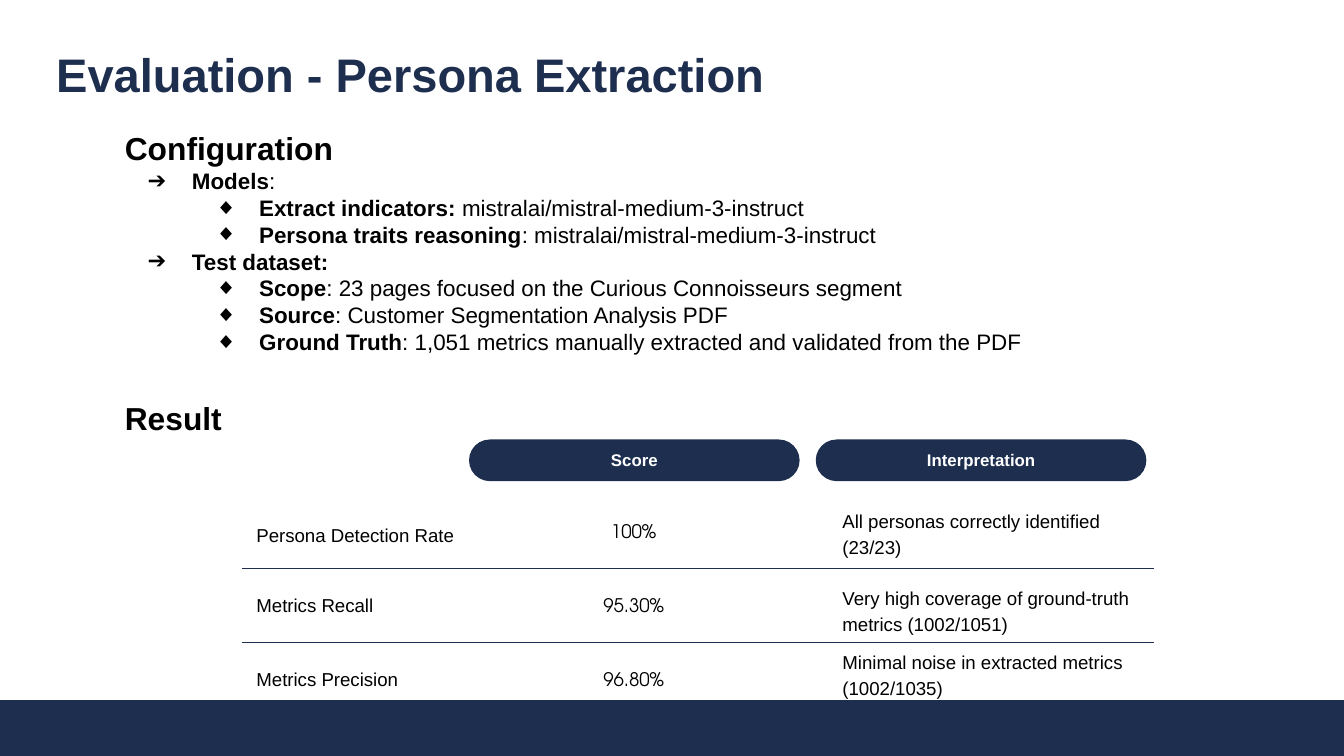
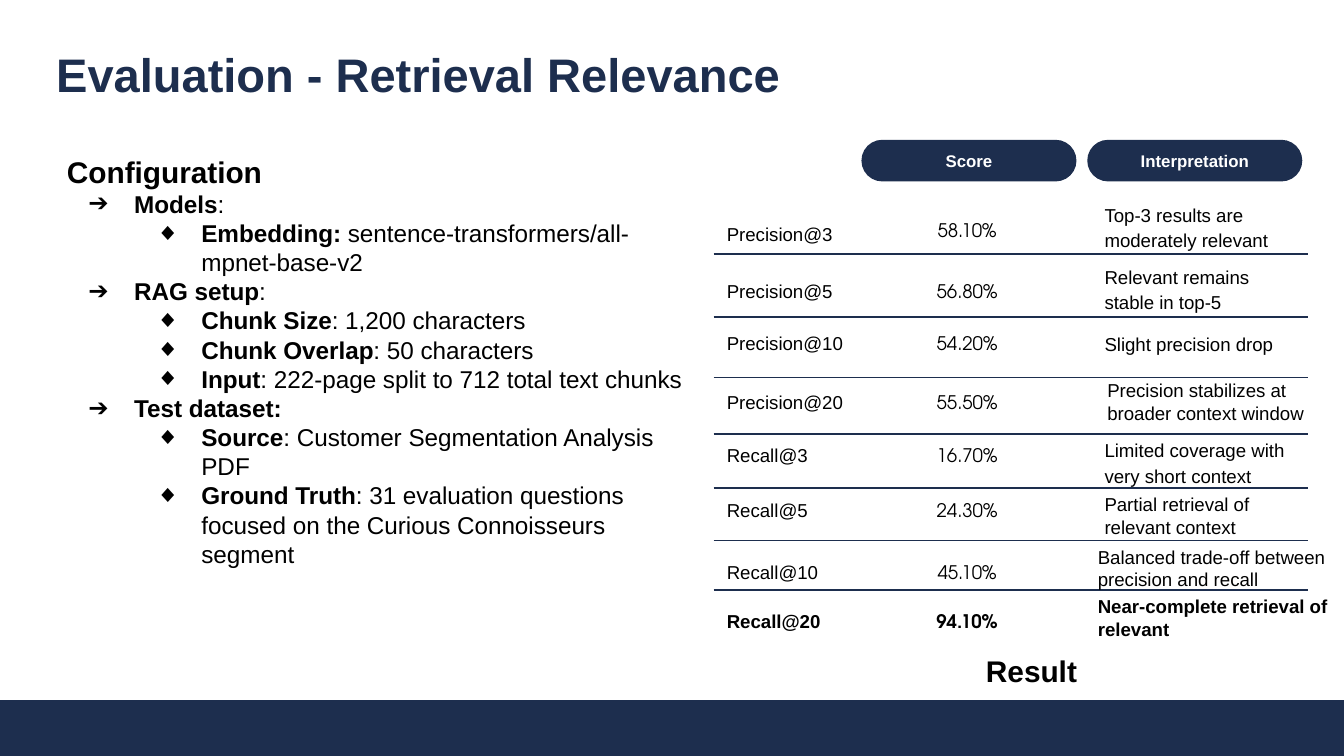
"""Build two evaluation slides: persona extraction and retrieval relevance."""
from lxml import etree
from pptx import Presentation
from pptx.dml.color import RGBColor
from pptx.enum.shapes import MSO_CONNECTOR, MSO_SHAPE
from pptx.enum.text import MSO_ANCHOR, MSO_AUTO_SIZE, PP_ALIGN
from pptx.oxml.ns import qn
from pptx.util import Inches, Pt

NAVY = RGBColor(0x1D, 0x2E, 0x4E)
BLACK = RGBColor(0, 0, 0)
WHITE = RGBColor(0xFF, 0xFF, 0xFF)
BODY_FONT = "Arial"
SCORE_FONT = "TeX Gyre Adventor"
RECTANGLE, PILL = MSO_SHAPE.RECTANGLE, MSO_SHAPE.ROUNDED_RECTANGLE
STRAIGHT = MSO_CONNECTOR.STRAIGHT
LEFT, CENTER = PP_ALIGN.LEFT, PP_ALIGN.CENTER
TOP, MIDDLE = MSO_ANCHOR.TOP, MSO_ANCHOR.MIDDLE
GROW = MSO_AUTO_SIZE.SHAPE_TO_FIT_TEXT

SLIDE_WIDTH = 10
SLIDE_HEIGHT = SLIDE_WIDTH * 9 / 16
BAND_HEIGHT = 0.41
ROW_HEIGHT = 0.27
PILL_HEIGHT = 0.31
BULLETS = ("➔", "◆")
LOOSE, SINGLE = 1.15, 1.0

# Each table row: label, score, top, note, note left, note top, note width, note spacing.
SLIDES = [
    {
        "title": "Evaluation - Persona Extraction",
        "heading_size": 17,
        "bullet_size": 12,
        "hanging": 0.33,
        "configuration_at": (0.83, 0.86, 8.21, 1.9),
        "configuration": [
            (0, "Models", ":"),
            (1, "Extract indicators:", " mistralai/mistral-medium-3-instruct"),
            (1, "Persona traits reasoning", ": mistralai/mistral-medium-3-instruct"),
            (0, "Test dataset:", ""),
            (1, "Scope", ": 23 pages focused on the Curious Connoisseurs segment"),
            (1, "Source", ": Customer Segmentation Analysis PDF"),
            (1, "Ground Truth", ": 1,051 metrics manually extracted and validated from the PDF"),
        ],
        "result_at": (0.83, 2.87, 3.28, 0.49),
        "result_align": LEFT,
        "header_top": 3.27,
        "header_width": 2.46,
        "headers": [("Score", 3.49), ("Interpretation", 6.07)],
        "label_at": (1.81, 2.06),
        "score_at": (4.3, 0.83),
        "rule_span": (1.8, 8.59),
        "rules": [4.23, 4.78],
        "rows": [
            ("Persona Detection Rate", "100%", 3.77,
             "All personas correctly identified (23/23)", 6.17, 3.67, 2.36, LOOSE),
            ("Metrics Recall", "95.30%", 4.32,
             "Very high coverage of ground-truth metrics (1002/1051)", 6.17, 4.24, 2.36, LOOSE),
            ("Metrics Precision", "96.80%", 4.87,
             "Minimal noise in extracted metrics (1002/1035)", 6.17, 4.72, 2.36, LOOSE),
        ],
        "bold_row": None,
    },
    {
        "title": "Evaluation - Retrieval Relevance",
        "heading_size": 16,
        "bullet_size": 13,
        "hanging": 0.34,
        "configuration_at": (0.4, 1.04, 4.91, 3.32),
        "configuration": [
            (0, "Models", ":"),
            (1, "Embedding:", " sentence-transformers/all-mpnet-base-v2"),
            (0, "RAG setup", ":"),
            (1, "Chunk Size", ": 1,200 characters"),
            (1, "Chunk Overlap", ": 50 characters"),
            (1, "Input", ": 222-page split to 712 total text chunks"),
            (0, "Test dataset:", ""),
            (1, "Source", ": Customer Segmentation Analysis PDF"),
            (1, "Ground Truth",
             ": 31 evaluation questions focused on the Curious Connoisseurs segment"),
        ],
        "result_at": (5.52, 4.76, 4.31, 0.47),
        "result_align": CENTER,
        "header_top": 1.04,
        "header_width": 1.6,
        "headers": [("Score", 6.41), ("Interpretation", 8.09)],
        "label_at": (5.31, 1.34),
        "score_at": (6.84, 0.71),
        "rule_span": (5.31, 9.73),
        "rules": [1.89, 2.36, 2.81, 3.23, 3.63, 4.02, 4.39],
        "rows": [
            ("Precision@3", "58.10%", 1.53,
             "Top-3 results are moderately relevant", 8.12, 1.39, 1.59, LOOSE),
            ("Precision@5", "56.80%", 1.98,
             "Relevant remains stable in top-5", 8.12, 1.85, 1.54, LOOSE),
            ("Precision@10", "54.20%", 2.37,
             "Slight precision drop", 8.12, 2.35, 1.54, LOOSE),
            ("Precision@20", "55.50%", 2.81,
             "Precision stabilizes at broader context window", 8.14, 2.72, 1.79, SINGLE),
            ("Recall@3", "16.70%", 3.2,
             "Limited coverage with very short context", 8.12, 3.14, 1.66, LOOSE),
            ("Recall@5", "24.30%", 3.61,
             "Partial retrieval of relevant context", 8.12, 3.57, 1.66, SINGLE),
            ("Recall@10", "45.10%", 4.07,
             "Balanced trade-off between precision and recall", 8.07, 3.96, 1.92, SINGLE),
            ("Recall@20", "94.10%", 4.44,
             "Near-complete retrieval of relevant", 8.07, 4.33, 1.92, SINGLE),
        ],
        "bold_row": 7,
    },
]


def style(span, size, color=BLACK, bold=False, font=BODY_FONT):
    span.font.size = Pt(size)
    span.font.name = font
    span.font.bold = bold
    span.font.color.rgb = color


def set_frame(shape, bottom=0.1, anchor=TOP):
    frame = shape.text_frame
    frame.word_wrap = True
    frame.vertical_anchor = anchor
    frame.margin_left = frame.margin_right = frame.margin_top = Inches(0.1)
    frame.margin_bottom = Inches(bottom)
    return frame


def write(frame, text, size, align=LEFT, spacing=SINGLE, **look):
    frame.text = text
    para = frame.paragraphs[0]
    para.alignment = align
    if spacing != SINGLE:
        para.line_spacing = spacing
    style(para.runs[0], size, **look)


def add_text(page, at, text, size, bottom=0.1, **look):
    box = page.shapes.add_textbox(*map(Inches, at))
    frame = set_frame(box, bottom)
    write(frame, text, size, **look)
    frame.auto_size = GROW
    return frame


def add_navy_shape(page, kind, at):
    shape = page.shapes.add_shape(kind, *map(Inches, at))
    shape.shadow.inherit = False
    shape.fill.solid()
    shape.fill.fore_color.rgb = NAVY
    shape.line.color.rgb = NAVY
    shape.line.width = Pt(0.75)
    return shape


def add_header(page, text, at):
    pill = add_navy_shape(page, PILL, at)
    pill.adjustments[0] = 0.5
    pill.line.fill.background()
    write(set_frame(pill, anchor=MIDDLE), text, 9, align=CENTER, color=WHITE, bold=True)


def add_rule(page, left, right, top):
    rule = page.shapes.add_connector(
        STRAIGHT, Inches(left), Inches(top), Inches(right), Inches(top))
    rule.line.color.rgb = NAVY
    rule.line.width = Pt(0.75)
    etree.SubElement(rule._element.spPr, qn("a:effectLst"))


def add_bullet(para, level, hanging):
    para.level = level
    properties = para._p.get_or_add_pPr()
    properties.set("marL", str(Inches(0.5 * (level + 1))))
    properties.set("indent", str(-Inches(hanging)))
    color = etree.SubElement(properties, qn("a:buClr"))
    etree.SubElement(color, qn("a:srgbClr")).set("val", str(BLACK))
    etree.SubElement(properties, qn("a:buFont")).set("typeface", BODY_FONT)
    etree.SubElement(properties, qn("a:buChar")).set("char", BULLETS[level])


def add_configuration(page, content):
    frame = add_text(page, content["configuration_at"], "Configuration",
                     content["heading_size"], bold=True)
    for level, term, detail in content["configuration"]:
        para = frame.add_paragraph()
        add_bullet(para, level, content["hanging"])
        for text, bold in ((term, True), (detail, False)):
            if text:
                span = para.add_run()
                span.text = text
                style(span, content["bullet_size"], bold=bold)


def add_results(page, content):
    for text, left in content["headers"]:
        add_header(page, text,
                   (left, content["header_top"], content["header_width"], PILL_HEIGHT))
    for top in content["rules"]:
        add_rule(page, *content["rule_span"], top)
    label_left, label_width = content["label_at"]
    score_left, score_width = content["score_at"]
    for index, row in enumerate(content["rows"]):
        label, score, top, note, note_left, note_top, note_width, spacing = row
        bold = index == content["bold_row"]
        add_text(page, (label_left, top, label_width, ROW_HEIGHT), label, 10, bottom=0,
                 bold=bold, spacing=SINGLE if index else LOOSE)
        add_text(page, (score_left, top, score_width, ROW_HEIGHT), score, 10, bottom=0,
                 bold=bold, align=CENTER, font=SCORE_FONT)
        add_text(page, (note_left, note_top, note_width, 0.44), note, 10, bottom=0,
                 bold=bold, spacing=spacing)
    add_text(page, content["result_at"], "Result", content["heading_size"],
             bold=True, align=content["result_align"])


def main():
    deck = Presentation()
    deck.slide_width = Inches(SLIDE_WIDTH)
    deck.slide_height = Inches(SLIDE_HEIGHT)
    for content in SLIDES:
        page = deck.slides.add_slide(deck.slide_layouts[6])
        add_text(page, (0.32, 0.24, 7.18, 0.63), content["title"], 25.2,
                 color=NAVY, bold=True)
        add_navy_shape(page, RECTANGLE,
                       (0, SLIDE_HEIGHT - BAND_HEIGHT, SLIDE_WIDTH, BAND_HEIGHT))
        add_configuration(page, content)
        add_results(page, content)
    deck.save("out.pptx")


if __name__ == "__main__":
    main()
